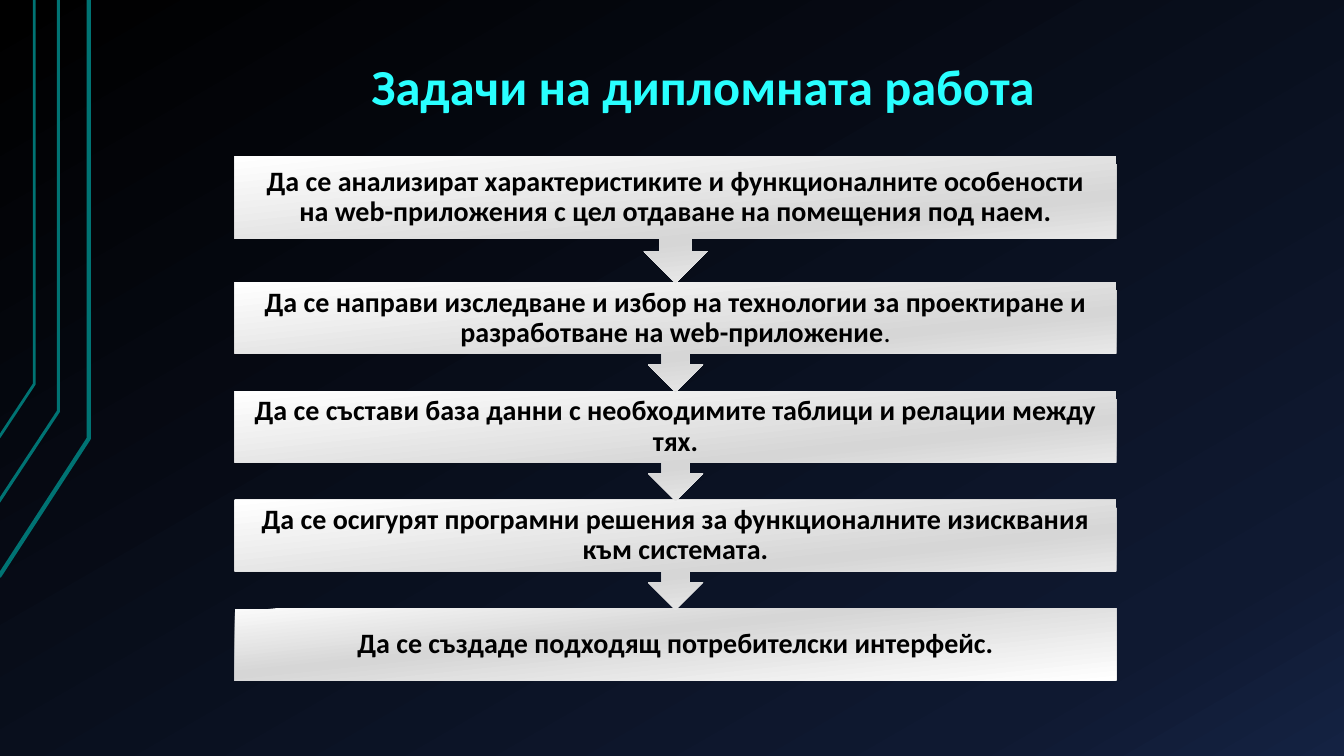
import pptx
import pptx.util
import pptx.oxml
import pptx.oxml.ns
import pptx.dml.color
import pptx.enum.text
import pptx.enum.shapes

Inches = pptx.util.Inches
Pt = pptx.util.Pt
RGB = pptx.dml.color.RGBColor
Kind = pptx.enum.shapes.MSO_SHAPE
Align = pptx.enum.text.PP_ALIGN
Anchor = pptx.enum.text.MSO_ANCHOR
qn = pptx.oxml.ns.qn

CYAN = RGB(0x29, 0xFF, 0xFF)
TEAL = RGB(0x00, 0x73, 0x73)
BLACK = RGB(0x00, 0x00, 0x00)
NIGHT = [(0, BLACK), (85, RGB(0x0F, 0x19, 0x31)), (100, RGB(0x14, 0x22, 0x42))]
SILVER = [(0, RGB(0xFA, 0xFA, 0xFA)), (40, RGB(0xD6, 0xD6, 0xD6)),
          (100, RGB(0xFF, 0xFF, 0xFF))]
FONT = "Calibri"

TITLE = "Задачи на дипломната работа"
TASKS = [
    [("Да се анализират характеристиките и функционалните особености "
      "на web-приложения с цел отдаване на помещения под наем.", True)],
    [("Да се направи изследване и избор на технологии за проектиране и "
      "разработване на web-приложение", True), (".", False)],
    [("Да се състави база данни с необходимите таблици и релации между тях.", True)],
    [("Да се осигурят програмни решения за функционалните изисквания "
      "към системата.", True)],
    [("Да се създаде подходящ потребителски интерфейс.", True)],
]
TRACES = [
    (3, [(-0.01, 5.72), (0.88, 4.35), (0.88, 0)]),
    (2.25, [(-0.02, 4.99), (0.58, 4.08), (0.58, 0)]),
    (2, [(-0.01, 4.34), (0.34, 3.81), (0.34, 0)]),
]
LEFT, WIDE = 2.33, 8.74
FIRST, NEXT, STEP = 1.55, 2.8, 1.08


def blend(fill, node, stops, angle):
    fill.gradient()
    grad = next(node.iter(qn("a:gradFill")))
    group = grad.find(qn("a:gsLst"))
    for old in list(group):
        group.remove(old)
    for spot, color in stops:
        stop = pptx.oxml.parse_xml(
            f'<a:gs {pptx.oxml.ns.nsdecls("a")} pos="{spot * 1000}">'
            f'<a:srgbClr val="{color}"/></a:gs>')
        group.append(stop)
    grad.find(qn("a:lin")).set("ang", str(angle * 60000))


def write(frame, runs, size, color, anchor, inset):
    frame.word_wrap = True
    frame.auto_size = pptx.enum.text.MSO_AUTO_SIZE.NONE
    frame.vertical_anchor = anchor
    frame.margin_left = frame.margin_right = Inches(inset[0])
    frame.margin_top = frame.margin_bottom = Inches(inset[1])
    para = frame.paragraphs[0]
    para.alignment = Align.CENTER
    para.line_spacing = 0.9
    for text, bold in runs:
        run = para.add_run()
        run.text = text
        run.font.name = FONT
        run.font.size = Pt(size)
        run.font.bold = bold
        run.font.color.rgb = color


deck = pptx.Presentation()
deck.slide_width, deck.slide_height = Inches(13.33), Inches(7.5)
slide = deck.slides.add_slide(deck.slide_layouts[5])
shapes = slide.shapes
blend(slide.background.fill, slide.element, NIGHT, 60)

for weight, points in TRACES:
    spots = [(Inches(x), Inches(y)) for x, y in points]
    pen = shapes.build_freeform(*spots[0])
    pen.add_line_segments(spots[1:], close=False)
    trace = pen.convert_to_shape()
    trace.shadow.inherit = False
    trace.fill.background()
    trace.line.color.rgb = TEAL
    trace.line.width = Pt(weight)

title = shapes.title
title.left, title.top = Inches(1.31), Inches(-0.11)
title.width, title.height = Inches(11.33), Inches(1.34)
write(title.text_frame, [(TITLE, True)], 36, CYAN, Anchor.BOTTOM, (0.13, 0.07))

for rank, runs in reversed(list(enumerate(TASKS))):
    top = NEXT + (rank - 1) * STEP if rank else FIRST
    high = 0.71 if rank else 0.82
    last = rank == len(TASKS) - 1
    full = high if last else (1.09 if rank else 1.26)
    kind = Kind.RECTANGLE if last else Kind.UP_ARROW_CALLOUT
    card = shapes.add_shape(kind, Inches(LEFT), Inches(top), Inches(WIDE), Inches(full))
    card.rotation = 0 if last else 180
    card.shadow.inherit = False
    card.line.fill.background()
    blend(card.fill, card.element, SILVER, 84)
    label = shapes.add_textbox(Inches(LEFT), Inches(top), Inches(WIDE), Inches(high))
    write(label.text_frame, runs, 20, BLACK, Anchor.MIDDLE, (0.16, 0.16))

deck.save("out.pptx")
